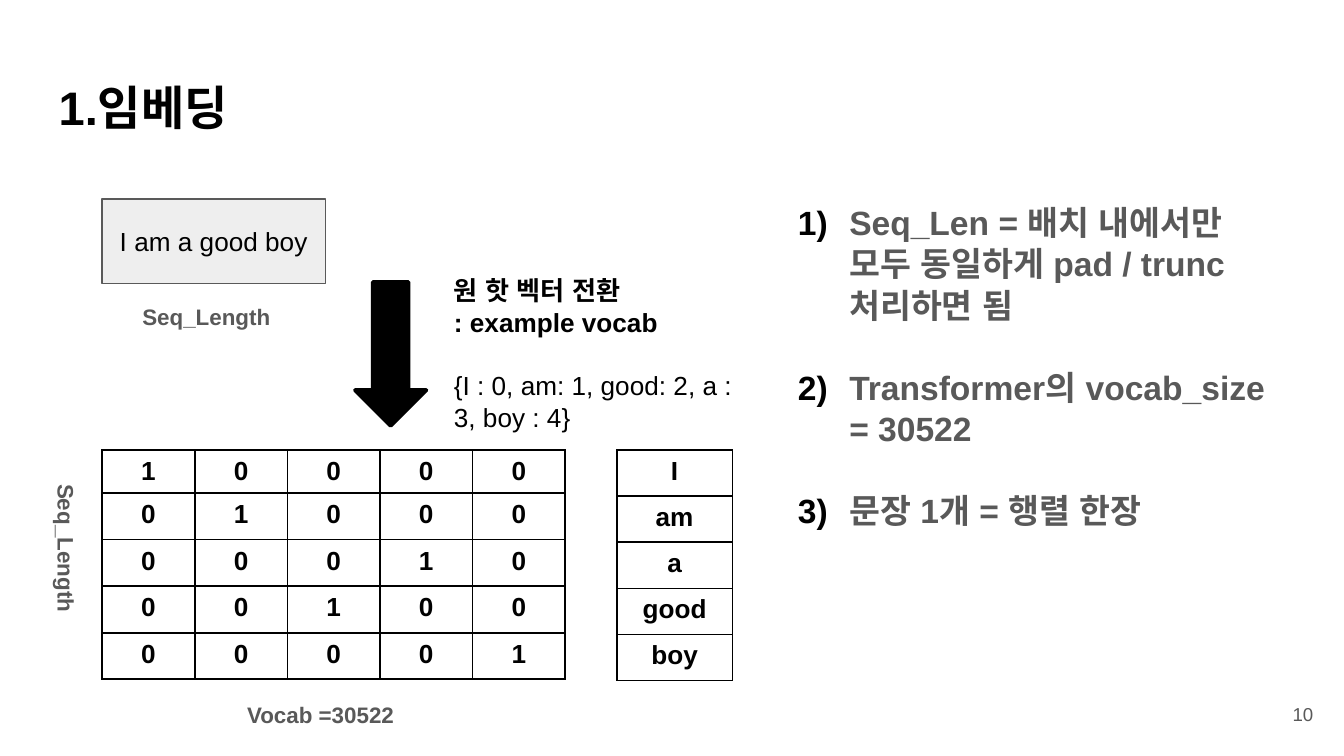
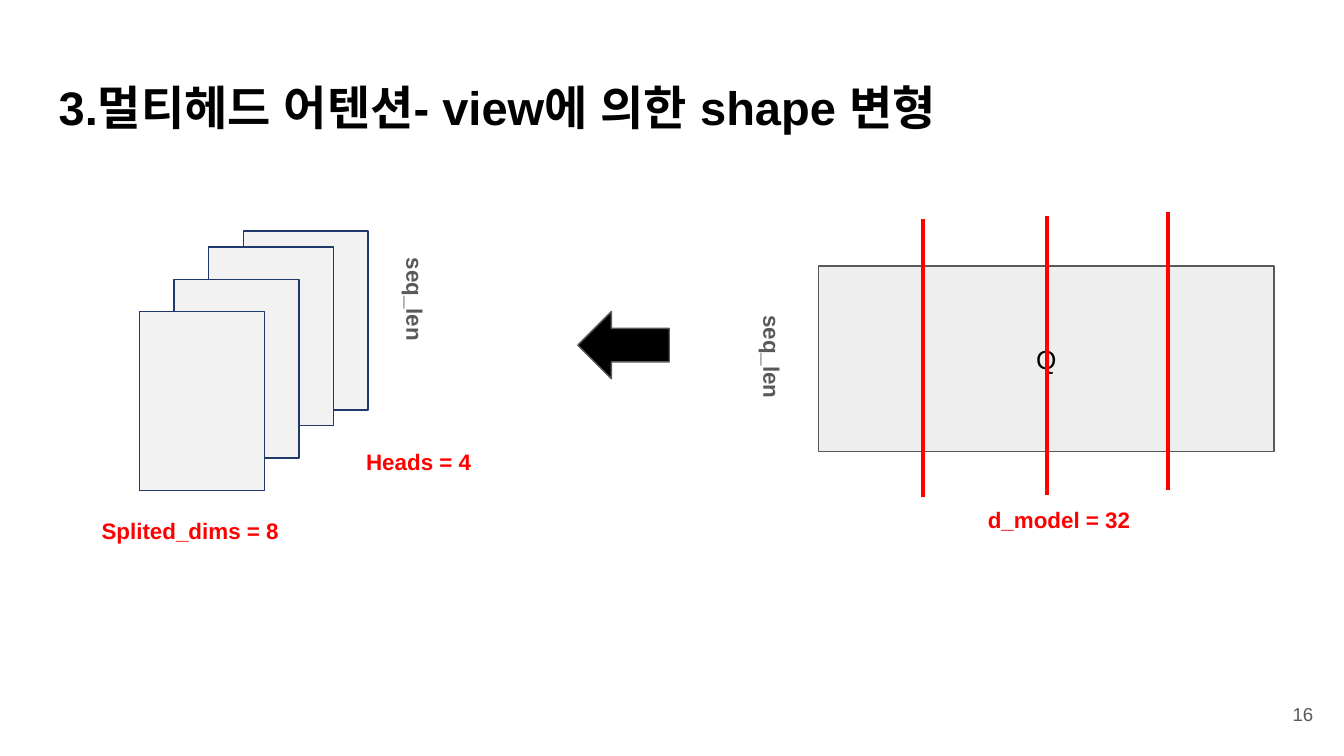
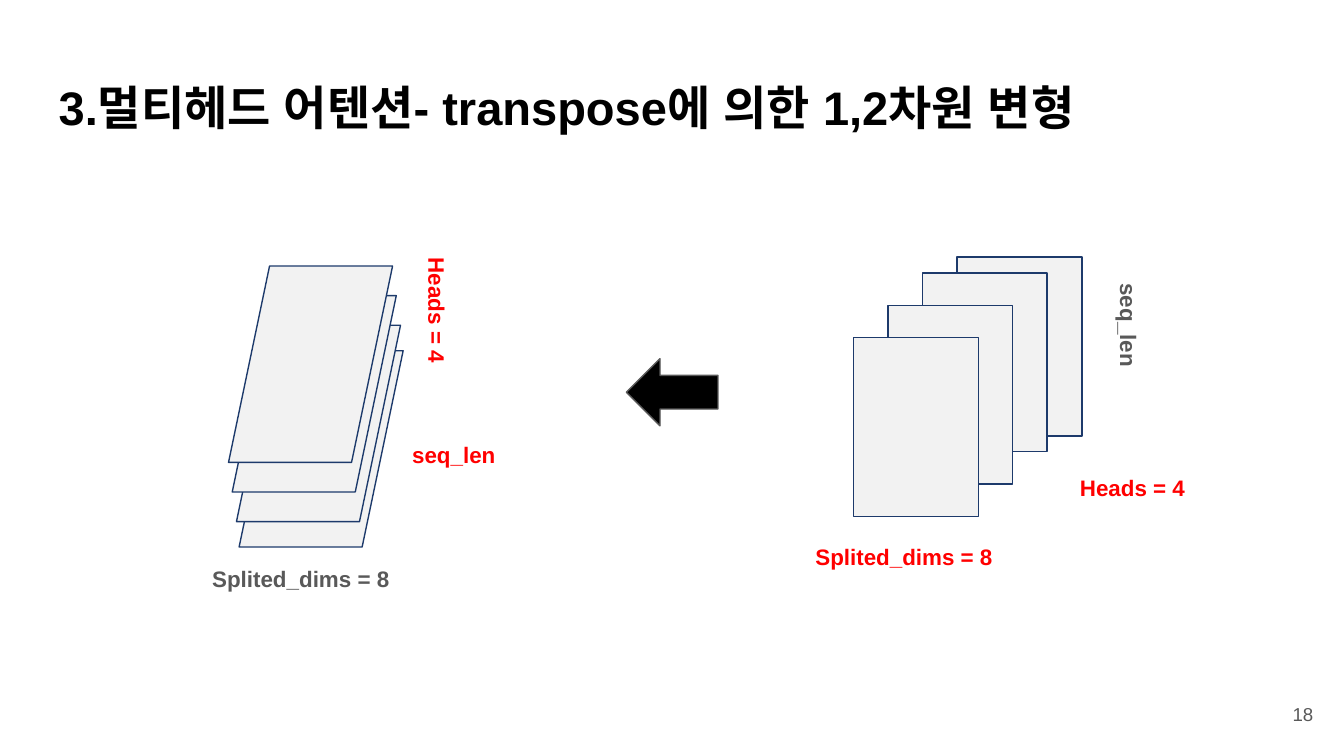
from dataclasses import dataclass
from typing import Any

from lxml import etree
from pptx import Presentation
from pptx.dml.color import RGBColor
from pptx.enum.shapes import MSO_CONNECTOR, MSO_SHAPE
from pptx.enum.text import MSO_ANCHOR, MSO_AUTO_SIZE, PP_ALIGN
from pptx.oxml.ns import qn
from pptx.util import Cm, Pt

RECTANGLE = MSO_SHAPE.RECTANGLE
PARALLELOGRAM = MSO_SHAPE.PARALLELOGRAM
DOWN_ARROW = MSO_SHAPE.DOWN_ARROW
LEFT_ARROW = MSO_SHAPE.LEFT_ARROW
STRAIGHT = MSO_CONNECTOR.STRAIGHT
TOP, MIDDLE = MSO_ANCHOR.TOP, MSO_ANCHOR.MIDDLE
LEFT, CENTER, RIGHT = PP_ALIGN.LEFT, PP_ALIGN.CENTER, PP_ALIGN.RIGHT
NO_AUTOFIT = MSO_AUTO_SIZE.NONE

FONT = "Arial"
COLORS = {
    "black": "000000",
    "gray": "595959",
    "red": "FF0000",
    "panel": "EEEEEE",
    "sheet": "F2F2F2",
    "navy": "1D3A6B",
}
TITLE_ONLY, TITLE_AND_BODY = 5, 1
INSET = 0.25


@dataclass
class Area:
    """Position and size in centimetres."""
    left: float
    top: float
    width: float
    height: float

    def lengths(self) -> tuple[Cm, Cm, Cm, Cm]:
        return Cm(self.left), Cm(self.top), Cm(self.width), Cm(self.height)


@dataclass
class Style:
    size: float
    color: str = "black"
    bold: bool = False
    align: Any = LEFT
    line_height: float | None = None


@dataclass
class Label:
    text: str
    area: Area
    color: str = "gray"
    rotation: int = 0


@dataclass
class Figure:
    kind: Any
    area: Area
    fill: str
    line: str
    line_width: float = 0.75


@dataclass
class Grid:
    left: float
    top: float
    column_width: float
    row_heights: list[float]
    rows: list[list[str]]


TITLE = Style(25.2, bold=True, line_height=30)
LIST = Style(18, "gray", bold=True, line_height=22)
PLAIN = Style(14, align=CENTER)
CELL = Style(14, bold=True, align=CENTER)
NUMBER = Style(10, "gray", align=RIGHT)

TITLE_AREA = Area(0.86, 1.24, 23.67, 1.6)
NUMBER_AREA = Area(23.55, 12.95, 1.52, 1.09)


def rgb(name: str) -> RGBColor:
    return RGBColor.from_string(COLORS[name])


# Text
def write(para: Any, text: str, style: Style) -> None:
    para.alignment = style.align
    if style.line_height:
        para.line_spacing = Pt(style.line_height)
    span = para.add_run()
    span.text = text
    formats = {"name": FONT, "size": Pt(style.size), "bold": style.bold}
    for key, value in formats.items():
        setattr(span.font, key, value)
    span.font.color.rgb = rgb(style.color)
    etree.SubElement(span.font._element, qn("a:ea"), typeface=FONT)


def prepare_frame(frame: Any, anchor: Any = TOP, inset: float = INSET) -> None:
    formats = {"word_wrap": True, "auto_size": NO_AUTOFIT, "vertical_anchor": anchor}
    for side in ("left", "right", "top", "bottom"):
        formats[f"margin_{side}"] = Cm(inset)
    for key, value in formats.items():
        setattr(frame, key, value)


def place(shape: Any, area: Area) -> None:
    for key, value in zip(("left", "top", "width", "height"), area.lengths()):
        setattr(shape, key, value)


def add_label(page: Any, label: Label) -> None:
    box = page.shapes.add_textbox(*label.area.lengths())
    box.rotation = label.rotation
    prepare_frame(box.text_frame)
    write(box.text_frame.paragraphs[0], label.text, Style(12, label.color, bold=True))


def add_page(deck: Any, layout: int, title: str, number: int) -> Any:
    page = deck.slides.add_slide(deck.slide_layouts[layout])
    heading = page.shapes.title
    place(heading, TITLE_AREA)
    prepare_frame(heading.text_frame)
    write(heading.text_frame.paragraphs[0], title, TITLE)
    box = page.shapes.add_textbox(*NUMBER_AREA.lengths())
    prepare_frame(box.text_frame, MIDDLE)
    write(box.text_frame.paragraphs[0], str(number), NUMBER)
    return page


def fill_numbered_list(body: Any, area: Area, items: list[str]) -> None:
    place(body, area)
    frame = body.text_frame
    prepare_frame(frame)
    for index, item in enumerate(items):
        para = frame.add_paragraph() if index else frame.paragraphs[0]
        write(para, item, LIST)
        para.space_before = Pt(LIST.line_height if index else 0)
        properties = para._p.get_or_add_pPr()
        properties.set("marL", str(Cm(0.97)))
        properties.set("indent", str(-Cm(0.97)))
        bullet_color = etree.SubElement(properties, qn("a:buClr"))
        etree.SubElement(bullet_color, qn("a:srgbClr"), val=COLORS["black"])
        etree.SubElement(properties, qn("a:buFont"), typeface=FONT)
        etree.SubElement(properties, qn("a:buAutoNum"), type="arabicParenR")


# Shapes, lines and tables
def add_figure(page: Any, figure: Figure, text: str = "") -> None:
    shape = page.shapes.add_shape(figure.kind, *figure.area.lengths())
    shape.shadow.inherit = False
    shape.fill.solid()
    shape.fill.fore_color.rgb = rgb(figure.fill)
    shape.line.color.rgb = rgb(figure.line)
    shape.line.width = Pt(figure.line_width)
    if text:
        prepare_frame(shape.text_frame, MIDDLE)
        write(shape.text_frame.paragraphs[0], text, PLAIN)


def add_left_arrow(page: Any, left: float, top: float) -> None:
    add_figure(page, Figure(LEFT_ARROW, Area(left, top, 1.73, 1.27), "black", "gray"))


def add_cut(page: Any, left: float, top: float, length: float) -> None:
    line = page.shapes.add_connector(
        STRAIGHT, Cm(left), Cm(top), Cm(left), Cm(top + length))
    line.line.color.rgb = rgb("red")
    line.line.width = Pt(2)
    etree.SubElement(line._element.spPr, qn("a:effectLst"))


def add_borders(cell: Any) -> None:
    properties = cell._tc.get_or_add_tcPr()
    for index, side in enumerate(("lnL", "lnR", "lnT", "lnB")):
        border = etree.Element(qn(f"a:{side}"), w=str(Pt(1)))
        fill = etree.SubElement(border, qn("a:solidFill"))
        etree.SubElement(fill, qn("a:srgbClr"), val=COLORS["black"])
        properties.insert(index, border)


def add_grid(page: Any, grid: Grid) -> None:
    column_count = len(grid.rows[0])
    area = Area(grid.left, grid.top,
                grid.column_width * column_count, sum(grid.row_heights))
    table = page.shapes.add_table(
        len(grid.rows), column_count, *area.lengths()).table
    table.first_row = table.horz_banding = False
    for column in table.columns:
        column.width = Cm(grid.column_width)
    for row, height, texts in zip(table.rows, grid.row_heights, grid.rows):
        row.height = Cm(height)
        for cell, text in zip(row.cells, texts):
            cell.fill.background()
            add_borders(cell)
            write(cell.text_frame.paragraphs[0], text, CELL)


def add_head_stack(page: Any, left: float, top: float) -> None:
    """Four overlapping head matrices; left and top belong to the front one."""
    for label in (
        Label("Heads = 4", Area(left + 4.03, top + 2.34, 2.51, 0.53), "red"),
        Label("Splited_dims = 8", Area(left - 0.97, top + 3.63, 4.01, 0.89), "red"),
        Label("seq_len", Area(left + 4.19, top - 0.28, 2.51, 0.53), rotation=90),
    ):
        add_label(page, label)
    for right, up in ((1.96, 1.52), (1.3, 1.22), (0.65, 0.61), (0, 0)):
        area = Area(left + right, top - up, 2.36, 3.38)
        add_figure(page, Figure(RECTANGLE, area, "sheet", "navy"))


# Slides
def build_embedding(deck: Any) -> None:
    page = add_page(deck, TITLE_AND_BODY, "1.임베딩", 10)
    add_figure(page, Figure(RECTANGLE, Area(1.93, 3.76, 4.22, 1.6), "panel", "gray"),
               "I am a good boy")
    add_figure(page, Figure(DOWN_ARROW, Area(6.71, 5.33, 1.35, 2.72),
                            "black", "black", 2))
    for label in (
        Label("Seq_Length", Area(2.44, 5.49, 3.25, 0.53)),
        Label("Seq_Length", Area(-0.13, 10.26, 3.25, 0.53), rotation=90),
        Label("Vocab =30522", Area(4.42, 13, 3.73, 0.53)),
    ):
        add_label(page, label)

    # One-hot rows: vocabulary index of each word in the sentence
    vocabulary = {"I": 0, "am": 1, "good": 2, "a": 3, "boy": 4}
    words = ["I", "am", "a", "good", "boy"]
    one_hot = [[str(int(vocabulary[word] == column)) for column in range(5)]
               for word in words]
    add_grid(page, Grid(1.93, 8.51, 1.75, [0.71] + [0.88] * 4, one_hot))
    add_grid(page, Grid(11.66, 8.51, 2.18, [0.87] * 5, [[word] for word in words]))

    fill_numbered_list(page.placeholders[1], Area(14.83, 3.56, 9.7, 6.96), [
        "Seq_Len = 배치 내에서만 모두 동일하게 pad / trunc 처리하면 됨",
        "Transformer의 vocab_size = 30522",
        "문장 1개 = 행렬 한장",
    ])

    # Vocabulary example
    box = page.shapes.add_textbox(*Area(8.33, 5.05, 5.84, 3.84).lengths())
    frame = box.text_frame
    prepare_frame(frame, inset=0.13)
    frame.margin_left = frame.margin_right = Cm(INSET)
    heading = Style(14, bold=True, line_height=17)
    write(frame.paragraphs[0], "원 핫 벡터 전환", heading)
    write(frame.add_paragraph(), ": example vocab", heading)
    example = frame.add_paragraph()
    example.space_before = Pt(17)
    write(example, "{I : 0, am: 1, good: 2, a : 3, boy : 4}",
          Style(14, line_height=17))


def build_view(deck: Any) -> None:
    page = add_page(deck, TITLE_ONLY, "3.멀티헤드 어텐션- view에 의한 shape 변형", 16)
    add_figure(page, Figure(RECTANGLE, Area(15.47, 5.03, 8.61, 3.51), "panel", "gray"),
               "Q")
    add_label(page, Label("seq_len", Area(13.26, 6.38, 2.51, 1.17), rotation=90))
    add_label(page, Label("d_model = 32", Area(18.42, 9.32, 3.66, 1.19), "red"))
    add_left_arrow(page, 10.92, 5.89)
    for left, top in ((17.45, 4.14), (19.79, 4.09), (22.07, 4.01)):
        add_cut(page, left, top, 5.26)
    add_head_stack(page, 2.64, 5.89)


def build_transpose(deck: Any) -> None:
    page = add_page(deck, TITLE_ONLY,
                    "3.멀티헤드 어텐션- transpose에 의한 1,2차원 변형", 18)
    add_left_arrow(page, 11.84, 6.78)
    add_head_stack(page, 16.13, 6.38)
    for label in (
        Label("Heads = 4", Area(6.99, 5.79, 2.95, 0.61), "red", 90),
        Label("Splited_dims = 8", Area(3.76, 10.44, 4.52, 1.02)),
        Label("seq_len", Area(7.54, 8.08, 2.84, 0.64), "red"),
    ):
        add_label(page, label)
    for left, top in ((4.52, 6.63), (4.47, 6.15), (4.39, 5.59), (4.32, 5.03)):
        add_figure(page, Figure(PARALLELOGRAM, Area(left, top, 3.1, 3.71),
                                "sheet", "navy"))


def main() -> None:
    deck = Presentation()
    deck.slide_width, deck.slide_height = Cm(25.4), Cm(14.29)
    build_embedding(deck)
    build_view(deck)
    build_transpose(deck)
    deck.save("out.pptx")


if __name__ == "__main__":
    main()
